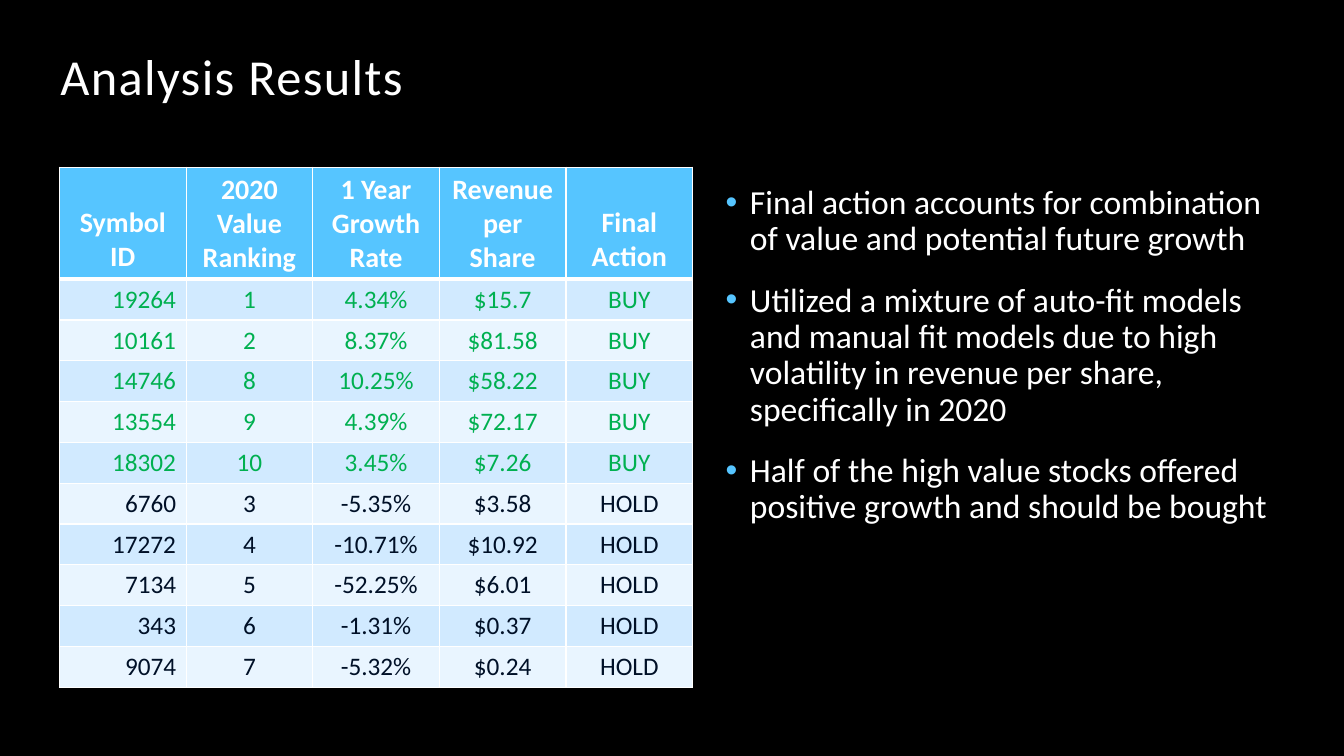
import pptx
import pptx.util
import pptx.dml.color
import pptx.enum.text
import pptx.oxml
import pptx.oxml.ns

Inches, Pt = pptx.util.Inches, pptx.util.Pt
ALIGN, ANCHOR = pptx.enum.text.PP_ALIGN, pptx.enum.text.MSO_ANCHOR
NS = pptx.oxml.ns.nsdecls("a")
COLORS = {
    "back": "000000",
    "white": "FFFFFF",
    "blue": "56C5FF",
    "odd": "D1EAFF",
    "even": "E9F5FF",
    "BUY": "00B050",
    "HOLD": "001027",
}
HEADS = ["Symbol ID", "2020 Value Ranking", "1 Year Growth Rate",
         "Revenue per Share", "Final Action"]
STOCKS = [
    ["19264", "1", "4.34%", "$15.7", "BUY"],
    ["10161", "2", "8.37%", "$81.58", "BUY"],
    ["14746", "8", "10.25%", "$58.22", "BUY"],
    ["13554", "9", "4.39%", "$72.17", "BUY"],
    ["18302", "10", "3.45%", "$7.26", "BUY"],
    ["6760", "3", "-5.35%", "$3.58", "HOLD"],
    ["17272", "4", "-10.71%", "$10.92", "HOLD"],
    ["7134", "5", "-52.25%", "$6.01", "HOLD"],
    ["343", "6", "-1.31%", "$0.37", "HOLD"],
    ["9074", "7", "-5.32%", "$0.24", "HOLD"],
]
POINTS = [
    "Final action accounts for combination of value and potential future growth",
    "Utilized a mixture of auto-fit models and manual fit models due to high "
    "volatility in revenue per share, specifically in 2020",
    "Half of the high value stocks offered positive growth and should be bought",
]


def rgb(name):
    return pptx.dml.color.RGBColor.from_string(COLORS[name])


def style(para, size, color, bold=False):
    """Set the font of a whole paragraph."""
    para.font.name = "Calibri"
    para.font.size = Pt(size)
    para.font.bold = bold
    para.font.color.rgb = rgb(color)


deck = pptx.Presentation()
deck.slide_width, deck.slide_height = Inches(13.33), Inches(7.5)
slide = deck.slides.add_slide(deck.slide_layouts[6])
slide.background.fill.solid()
slide.background.fill.fore_color.rgb = rgb("back")

# Title
title = slide.shapes.add_textbox(
    Inches(0.5), Inches(0.36), Inches(10), Inches(0.75)).text_frame
title.word_wrap = True
title.vertical_anchor = ANCHOR.BOTTOM
para = title.paragraphs[0]
para.text = "Analysis Results"
para.line_spacing = 0.9
style(para, 36, "white")
para.runs[0].font._element.set("spc", "100")

# Bullet points
notes = slide.shapes.add_textbox(
    Inches(7.1), Inches(1.79), Inches(5.64), Inches(4.82)).text_frame
notes.word_wrap = True
for i, point in enumerate(POINTS):
    para = notes.add_paragraph() if i else notes.paragraphs[0]
    para.text = point
    para.line_spacing = 0.9
    para.space_before = Pt(18)
    style(para, 24, "white")
    props = para._p.get_or_add_pPr()
    props.set("marL", str(Inches(0.24)))
    props.set("indent", str(-Inches(0.24)))
    bullet = [
        f'<a:buClr {NS}><a:srgbClr val="{COLORS["blue"]}"/></a:buClr>',
        f'<a:buFont {NS} typeface="Arial"/>',
        f'<a:buChar {NS} char="•"/>',
    ]
    spot = props.index(props.find(pptx.oxml.ns.qn("a:defRPr")))
    for j, xml in enumerate(bullet):
        props.insert(spot + j, pptx.oxml.parse_xml(xml))

# Results table
rows = [HEADS] + STOCKS
table = slide.shapes.add_table(
    len(rows), len(HEADS), Inches(0.59), Inches(1.66),
    Inches(6.28), Inches(5.16)).table
table.horz_banding = False
for col in table.columns:
    col.width = Inches(6.28 / len(HEADS))
for r, row in enumerate(rows):
    table.rows[r].height = Inches(0.405 if r else 1.11)
    for c, text in enumerate(row):
        cell = table.cell(r, c)
        cell.fill.solid()
        para = cell.text_frame.paragraphs[0]
        para.text = text
        para.alignment = ALIGN.RIGHT if r and c == 0 else ALIGN.CENTER
        if r:
            cell.fill.fore_color.rgb = rgb("odd" if r % 2 else "even")
            style(para, 18, row[-1])
        else:
            cell.fill.fore_color.rgb = rgb("blue")
            cell.vertical_anchor = ANCHOR.BOTTOM
            style(para, 20, "white", True)
        thick = {0: "B", 1: "T"}.get(r)
        for i, side in enumerate("LRTB"):
            width = Pt(3 if side == thick else 1)
            cell._tc.get_or_add_tcPr().insert(i, pptx.oxml.parse_xml(
                f'<a:ln{side} {NS} w="{width}"><a:solidFill>'
                f'<a:srgbClr val="{COLORS["white"]}"/></a:solidFill></a:ln{side}>'))

deck.save("out.pptx")
